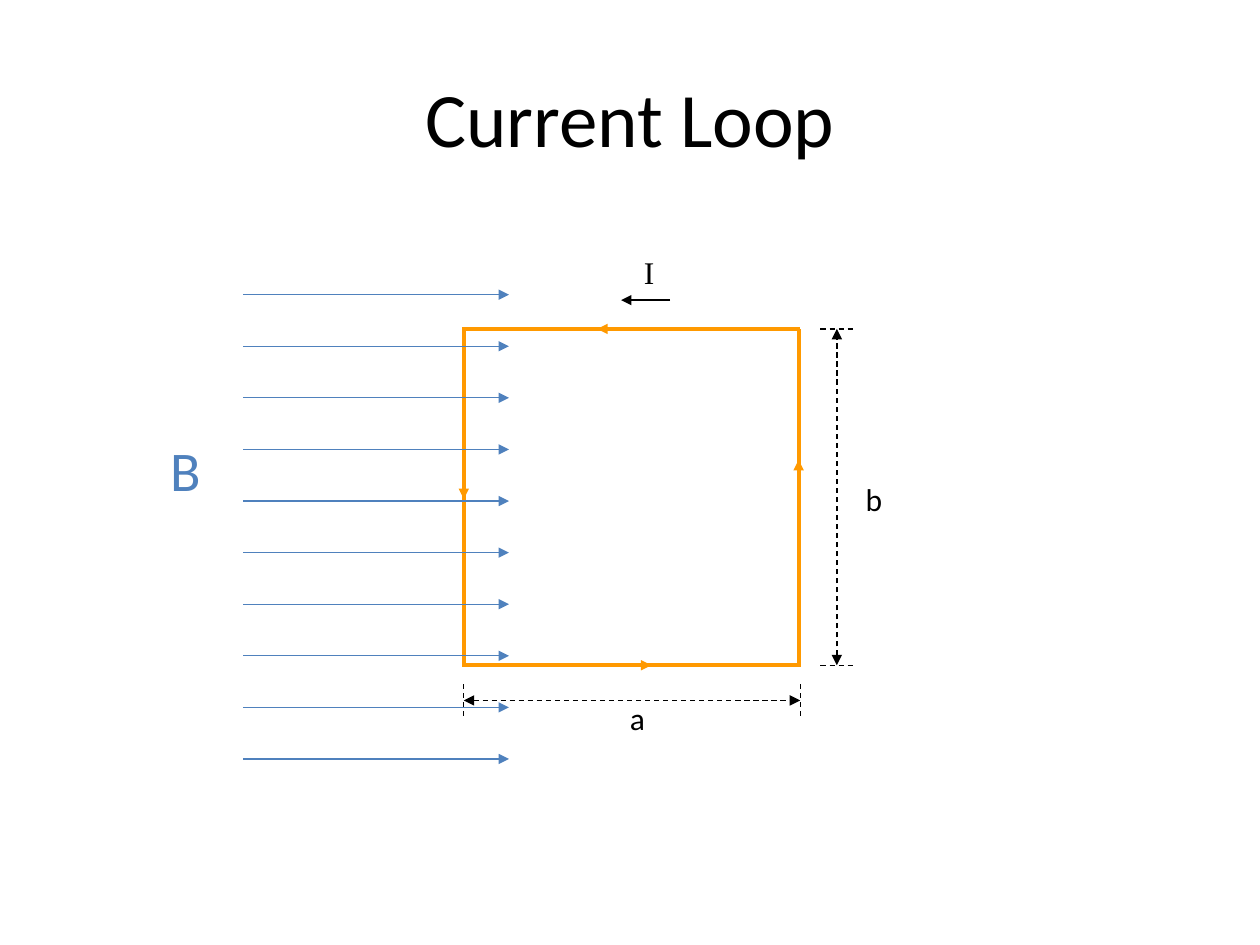
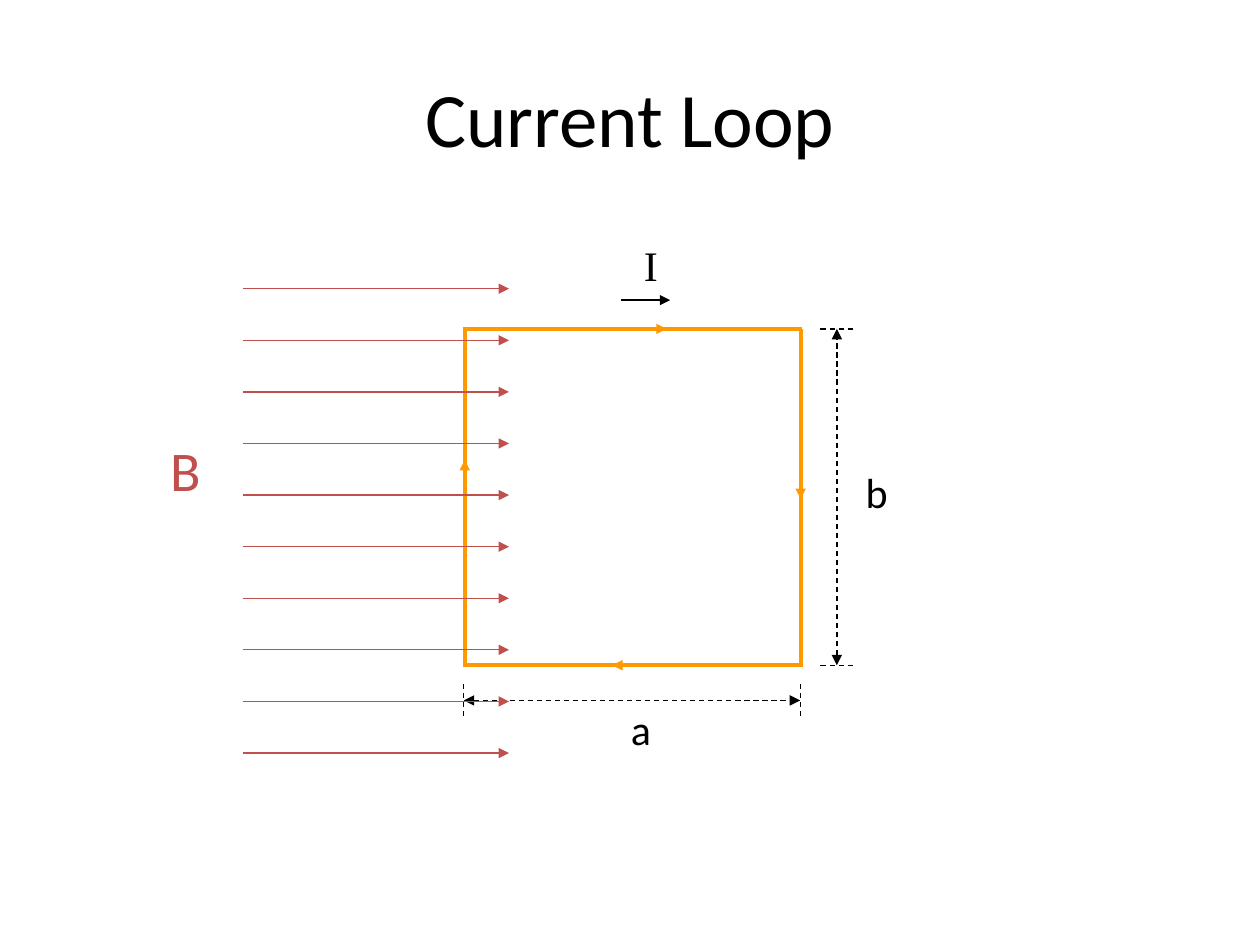
import pptx
import pptx.util
import pptx.dml.color
import pptx.enum.dml
import pptx.enum.shapes
import pptx.enum.text
from pptx.oxml.ns import qn
from lxml import etree

Cm, Pt = pptx.util.Cm, pptx.util.Pt

COLORS = {"ink": "000000", "loop": "FF9900", "blue": "4F81BD", "red": "C0504D"}
BODY_FONT, SYMBOL_FONT = "Calibri", "Times New Roman"
TITLE_BOX = (1.27, 0.76, 22.86, 3.18)

TOP, BOTTOM = 6.63, 13.41
DIM_LEFT, DIM_RIGHT = 9.35, 16.13
DIM_X, DIM_Y = 16.87, 14.12
TICK_X, TICK_Y = (16.54, 17.25), (13.79, 14.5)
CURRENT_Y = 6.05
FIELD_X, FIELD_COUNT, FIELD_STEP = (4.9, 10.26), 10, 1.04
FIELD_LABEL = ("B", 3.18, 8.66, 1.14, 1.63)

SLIDES = [
    {
        "title": "Current Loop",
        "field_color": "blue",
        "field_top": 5.94,
        "sides": (9.35, 16.1),
        "markers": {"left": (8.81, 10.06), "right": (10.54, 9.27),
                    "top": (13.28, 12.04), "bottom": (11.89, 13.13)},
        "current": (13.51, 12.52),
        "label_size": 18,
        "labels": [("I", 12.73, 4.98, 0.71, 0.94, SYMBOL_FONT),
                   ("a", 12.45, 13.97, 0.81, 0.94, BODY_FONT),
                   ("b", 17.2, 9.55, 0.81, 0.94, BODY_FONT)],
    },
    {
        "title": "Current Loop",
        "field_color": "red",
        "field_top": 5.82,
        "sides": (9.37, 16.14),
        "markers": {"left": (10.54, 9.27), "right": (8.81, 10.06),
                    "top": (12.19, 13.44), "bottom": (13.61, 12.34)},
        "current": (12.52, 13.51),
        "label_size": 24,
        "labels": [("I", 12.73, 4.7, 0.79, 1.27, SYMBOL_FONT),
                   ("a", 12.47, 14.05, 0.99, 1.27, BODY_FONT),
                   ("b", 17.2, 9.27, 0.99, 1.27, BODY_FONT)],
    },
]


def format_run(r, size, font, color):
    r.font.size = Pt(size)
    r.font.name = font
    r.font.color.rgb = pptx.dml.color.RGBColor.from_string(COLORS[color])


def add_line(shapes, x1, y1, x2, y2, color, width=0.75, ends=(), dashed=False):
    c = shapes.add_connector(pptx.enum.shapes.MSO_CONNECTOR.STRAIGHT,
                             Cm(x1), Cm(y1), Cm(x2), Cm(y2))
    c.line.color.rgb = pptx.dml.color.RGBColor.from_string(COLORS[color])
    c.line.width = Pt(width)
    if dashed:
        c.line.dash_style = pptx.enum.dml.MSO_LINE.DASH
    sp_pr = c._element.spPr
    for end in ends:
        etree.SubElement(sp_pr.find(qn("a:ln")), qn(f"a:{end}End"), type="triangle")
    etree.SubElement(sp_pr, qn("a:effectLst"))


def add_label(shapes, text, x, y, w, h, size, font, color):
    tf = shapes.add_textbox(Cm(x), Cm(y), Cm(w), Cm(h)).text_frame
    tf.word_wrap = False
    tf.auto_size = pptx.enum.text.MSO_AUTO_SIZE.SHAPE_TO_FIT_TEXT
    tf.text = text
    format_run(tf.paragraphs[0].runs[0], size, font, color)


def add_title(s, text):
    sp = s.shapes.title
    sp.left, sp.top, sp.width, sp.height = map(Cm, TITLE_BOX)
    tf = sp.text_frame
    tf.text = text
    tf.vertical_anchor = pptx.enum.text.MSO_ANCHOR.MIDDLE
    p = tf.paragraphs[0]
    p.alignment = pptx.enum.text.PP_ALIGN.CENTER
    format_run(p.runs[0], 44, BODY_FONT, "ink")


def add_loop(shapes, data):
    left, right = data["sides"]
    for y in (TOP, BOTTOM):
        add_line(shapes, left - 0.03, y, right + 0.03, y, "loop", 2.25)
    for x in (left, right):
        add_line(shapes, x, BOTTOM + 0.03, x, TOP, "loop", 2.25)
    markers = data["markers"]
    for side, x in (("left", left), ("right", right)):
        start, end = markers[side]
        add_line(shapes, x, start, x, end, "loop", ends=["tail"])
    for side, y in (("top", TOP), ("bottom", BOTTOM)):
        start, end = markers[side]
        add_line(shapes, start, y, end, y, "loop", ends=["tail"])
    start, end = data["current"]
    add_line(shapes, start, CURRENT_Y, end, CURRENT_Y, "ink", ends=["tail"])


def add_dimensions(shapes):
    for x in (DIM_LEFT, DIM_RIGHT):
        add_line(shapes, x, TICK_Y[0], x, TICK_Y[1], "ink", dashed=True)
    for y in (BOTTOM, TOP):
        add_line(shapes, TICK_X[0], y, TICK_X[1], y, "ink", dashed=True)
    for span in ((DIM_LEFT, DIM_Y, DIM_RIGHT, DIM_Y), (DIM_X, BOTTOM, DIM_X, TOP)):
        add_line(shapes, *span, "ink", ends=["head", "tail"], dashed=True)


def add_field(shapes, top, color):
    for i in range(FIELD_COUNT):
        y = top + i * FIELD_STEP
        add_line(shapes, FIELD_X[0], y, FIELD_X[1], y, color, ends=["tail"])


def add_slide(prs, data):
    s = prs.slides.add_slide(prs.slide_layouts[5])
    add_title(s, data["title"])
    loop = s.shapes.add_group_shape().shapes
    add_loop(loop, data)
    add_dimensions(loop)
    for text, x, y, w, h, font in data["labels"]:
        add_label(loop, text, x, y, w, h, data["label_size"], font, "ink")
    field = s.shapes.add_group_shape().shapes
    add_field(field, data["field_top"], data["field_color"])
    add_label(s.shapes, *FIELD_LABEL, 32, BODY_FONT, data["field_color"])


def main():
    prs = pptx.Presentation()
    prs.slide_width, prs.slide_height = Cm(25.4), Cm(19.05)
    for data in SLIDES:
        add_slide(prs, data)
    prs.save("out.pptx")


if __name__ == "__main__":
    main()
